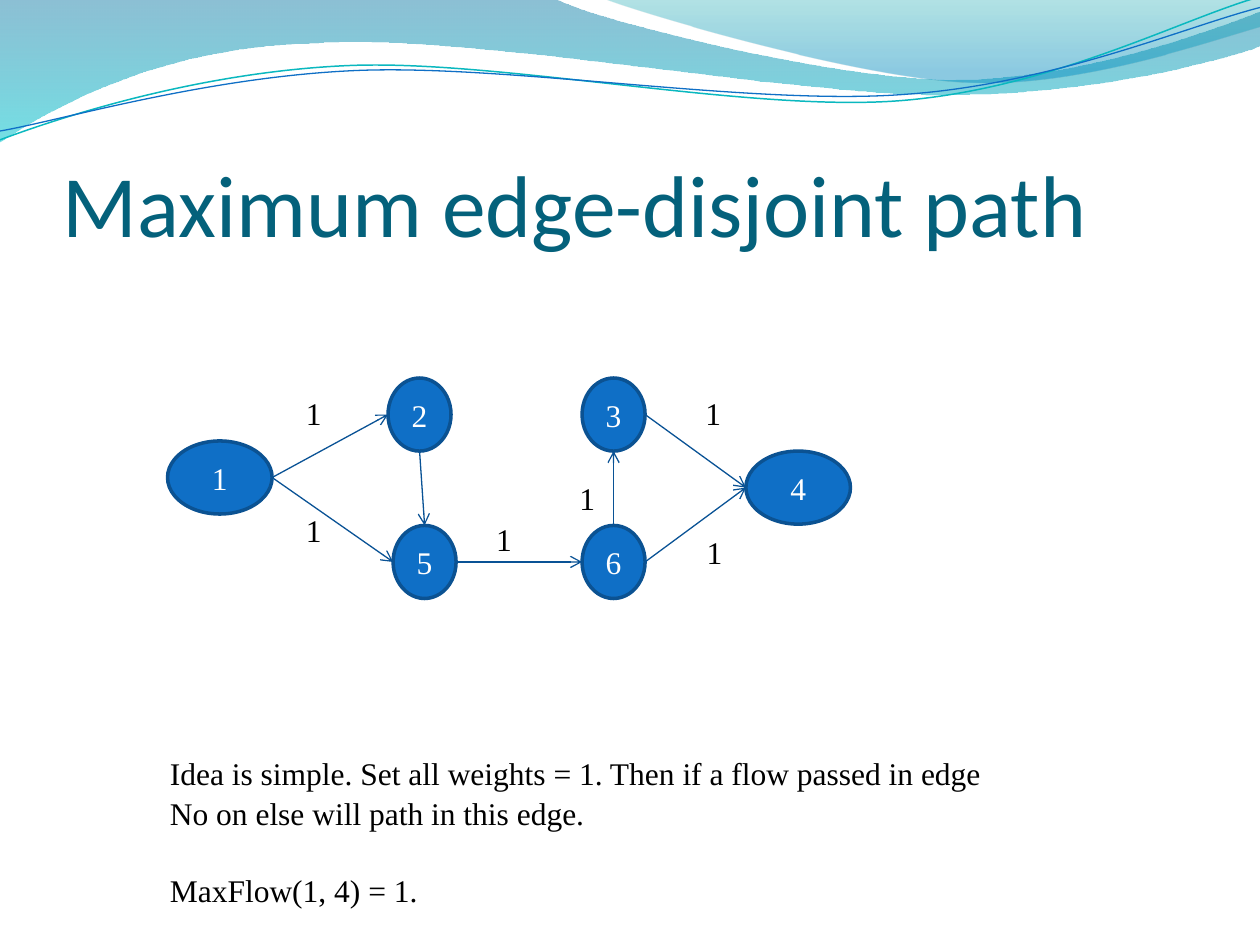
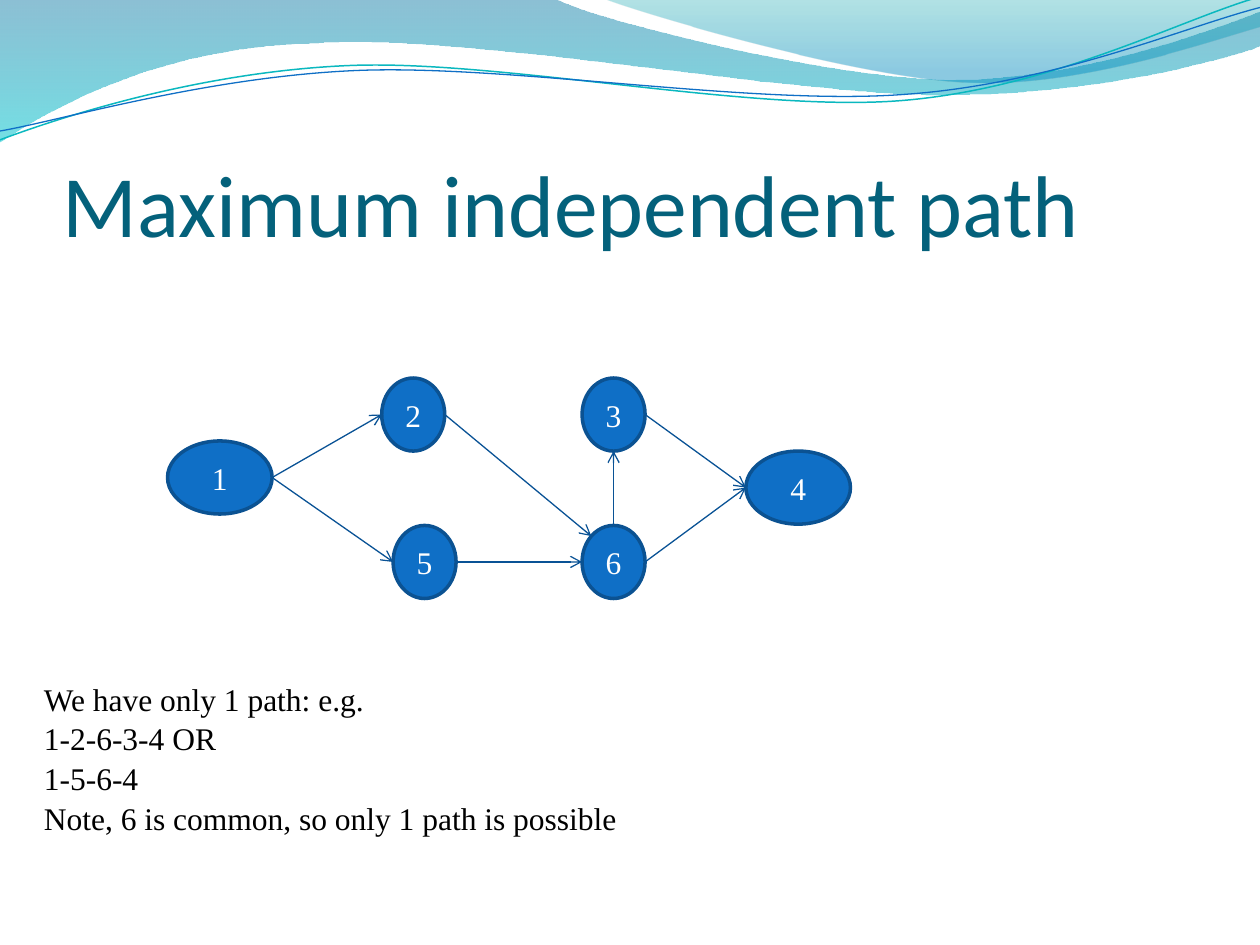
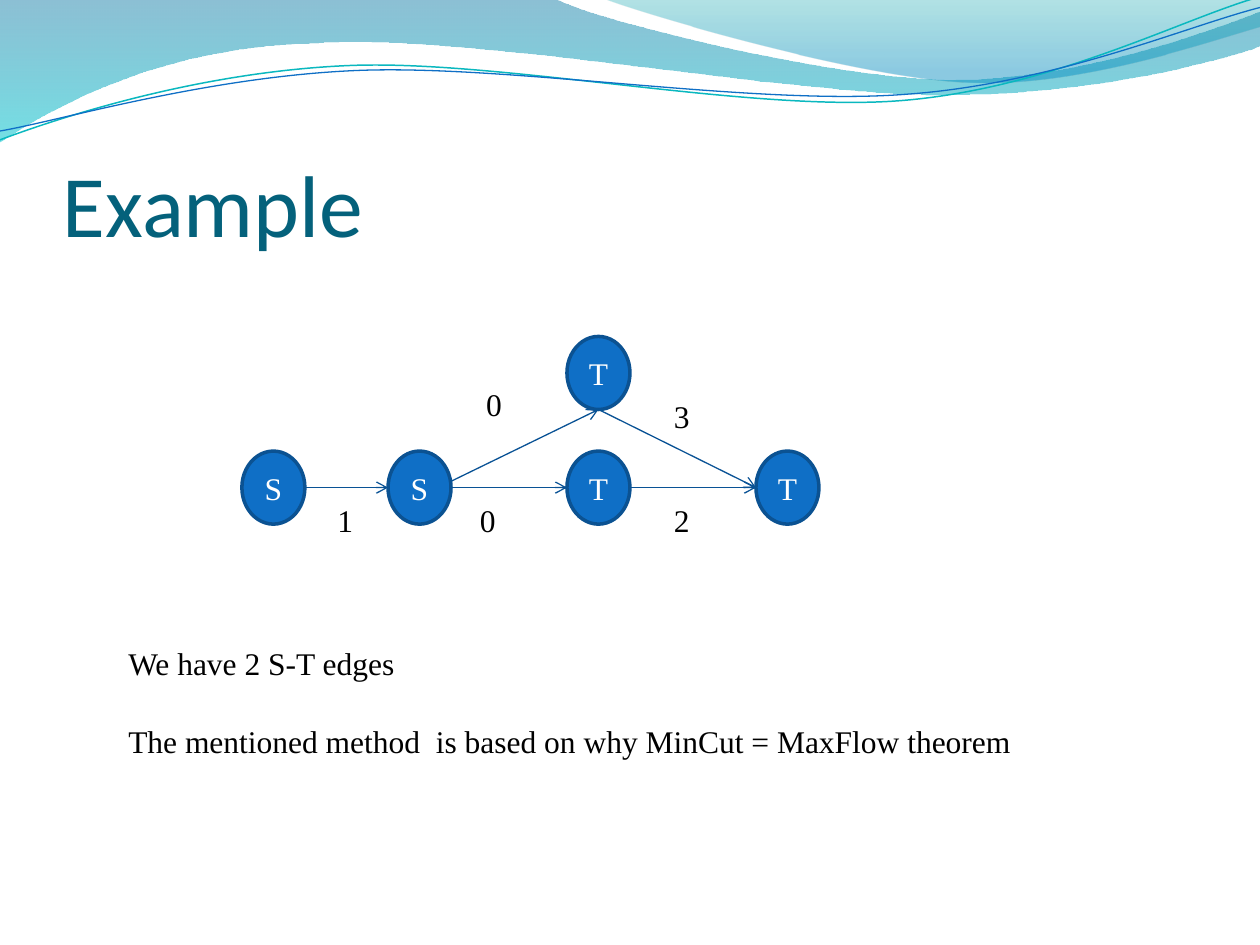
import dataclasses
import enum
import math

import lxml.etree
import pptx
import pptx.dml.color
import pptx.enum.shapes
import pptx.enum.text
import pptx.oxml.ns
import pptx.util

Inches = pptx.util.Inches
Pt = pptx.util.Pt
qn = pptx.oxml.ns.qn
Point = tuple[float, float]


# ---- Theme ----
@dataclasses.dataclass(frozen=True)
class Theme:
    title_font: str = "Calibri"
    body_font: str = "Times New Roman"
    title_size: float = 50
    body_size: float = 18
    blank_line: float = 21.7
    line_spacing: float = 1.05
    title: str = "04617B"
    ink: str = "000000"
    paper: str = "FFFFFF"
    node: str = "0F6FC6"
    node_line: str = "0B5292"
    edge: str = "095295"
    teal: str = "0AB8BF"
    node_line_width: float = 2
    edge_width: float = 0.75


THEME = Theme()


def rgb(code: str) -> pptx.dml.color.RGBColor:
    return pptx.dml.color.RGBColor.from_string(code)


# ---- What a slide is made of ----
class Site(enum.IntEnum):
    """Connection sites of an ellipse, counter-clockwise from the top."""
    TOP = 0
    TOP_LEFT = 1
    LEFT = 2
    BOTTOM = 4
    RIGHT = 6


@dataclasses.dataclass(frozen=True)
class Node:
    key: str
    text: str
    left: float
    top: float
    width: float = 0.5
    height: float = 0.58

    def site(self, site: Site) -> Point:
        angle = math.radians(90 + 45 * site)
        return (self.left + self.width / 2 * (1 + math.cos(angle)),
                self.top + self.height / 2 * (1 - math.sin(angle)))


@dataclasses.dataclass(frozen=True)
class Edge:
    start: str
    end: str
    start_site: Site = Site.RIGHT
    end_site: Site = Site.LEFT
    start_rise: float = 0  # a raised start is not joined to its node


@dataclasses.dataclass(frozen=True)
class Weight:
    text: str
    left: float
    top: float


@dataclasses.dataclass(frozen=True)
class Passage:
    text: str
    after_gap: bool = False


@dataclasses.dataclass(frozen=True)
class Note:
    left: float
    top: float
    width: float
    height: float
    passages: tuple[Passage, ...]
    wrap: bool = False


@dataclasses.dataclass(frozen=True)
class GraphSlide:
    title: str
    nodes: tuple[Node, ...]
    edges: tuple[Edge, ...]
    note: Note
    weights: tuple[Weight, ...] = ()


@dataclasses.dataclass(frozen=True)
class Stop:
    position: float
    color: str
    opacity: int


@dataclasses.dataclass(frozen=True)
class Wave:
    """Pieces of one point are lines, pieces of three are Bezier curves."""
    start: Point
    pieces: tuple[tuple[Point, ...], ...]
    stops: tuple[Stop, ...] = ()
    line: str = ""
    line_width: float = 0
    tilt: float = 0
    center: Point = (0, 0)


# ---- Header waves ----
WAVES = (
    Wave((0, 0), (
        ((4.4, -0.01),),
        ((4.76, 0.17), (6.64, 0.63), (7.58, 0.63)),
        ((8.53, 0.63), (9.58, 0.26), (10, 0.09)),
        ((10.01, 0.36),),
        ((9.83, 0.44), (8.7, 0.76), (7.46, 0.75)),
        ((6.22, 0.75), (3.82, 0.28), (2.57, 0.34)),
        ((1.29, 0.36), (0.46, 0.83), (-0.01, 1.13)),
    ), stops=(Stop(0, "0074A1", 45), Stop(1, "00C6CF", 55))),
    Wave((4.79, -0.01), (
        ((5.09, 0.11), (6.82, 0.62), (7.69, 0.65)),
        ((8.56, 0.69), (9.61, 0.32), (10, 0.21)),
        ((10, 0),),
    ), stops=(Stop(0, "00A1A9", 30), Stop(0.8, "008BBF", 45))),
    Wave((0, 1.11), (
        ((0.48, 0.93), (1.58, 0.57), (2.77, 0.52)),
        ((3.95, 0.47), (5.93, 0.89), (7.13, 0.8)),
        ((8.33, 0.71), (9.38, 0.15), (9.98, -0.02)),
    ), line=THEME.teal, line_width=0.85, tilt=-2.7, center=(4.99, 0.58)),
    Wave((0, 1.04), (
        ((0.47, 0.96), (1.64, 0.61), (2.83, 0.56)),
        ((4.03, 0.51), (5.97, 0.84), (7.17, 0.75)),
        ((8.36, 0.67), (9.41, 0.21), (10, 0.06)),
    ), line=THEME.node, line_width=0.75, tilt=-2.7, center=(5, 0.59)),
)


def turn(point: Point, center: Point, degrees: float) -> Point:
    angle = math.radians(degrees)
    x, y = point[0] - center[0], point[1] - center[1]
    return (center[0] + x * math.cos(angle) - y * math.sin(angle),
            center[1] + x * math.sin(angle) + y * math.cos(angle))


def bend_curves(shape, pieces: tuple[tuple[Point, ...], ...]) -> None:
    """Merge the three line segments of each curve piece into one curve."""
    segments = iter(list(shape.element.iter(qn("a:lnTo"))))
    for piece in pieces:
        group = [next(segments) for _ in piece]
        if len(group) == 3:
            curve = group[0].makeelement(qn("a:cubicBezTo"))
            group[0].addprevious(curve)
            for segment in group:
                curve.append(segment[0])
                segment.getparent().remove(segment)


def draw_wave(page, wave: Wave) -> None:
    points = [wave.start] + [point for piece in wave.pieces for point in piece]
    flat = [turn(point, wave.center, -wave.tilt) for point in points]
    corners = [(Inches(x), Inches(y)) for x, y in flat]
    builder = page.shapes.build_freeform(*corners[0], scale=1.0)
    builder.add_line_segments(corners[1:], close=bool(wave.stops))
    shape = builder.convert_to_shape()
    bend_curves(shape, wave.pieces)
    shape.rotation = wave.tilt
    shape.shadow.inherit = False
    if not wave.stops:
        shape.fill.background()
        shape.line.color.rgb = rgb(wave.line)
        shape.line.width = Pt(wave.line_width)
        return
    shape.line.fill.background()
    shape.fill.gradient()
    shape.fill.gradient_angle = 270
    for target, stop in zip(shape.fill.gradient_stops, wave.stops):
        target.position = stop.position
        target.color.rgb = rgb(stop.color)
    colors = shape.element.spPr.find(qn("a:gradFill")).iter(qn("a:srgbClr"))
    for color, stop in zip(list(colors), wave.stops):
        lxml.etree.SubElement(color, qn("a:alpha"), val=str(stop.opacity * 1000))


# ---- Text ----
def add_span(para, text: str, color: str, font: str = THEME.body_font,
             size: float = THEME.body_size) -> None:
    span = para.add_run()
    span.text = text
    span.font.name = font
    span.font.size = Pt(size)
    span.font.color.rgb = rgb(color)


def add_box(page, left: float, top: float, width: float, height: float, wrap: bool):
    box = page.shapes.add_textbox(Inches(left), Inches(top), Inches(width), Inches(height))
    box.text_frame.word_wrap = wrap
    return box


def draw_title(page, text: str) -> None:
    frame = add_box(page, 0.5, 0.77, 9, 1.25, True).text_frame
    frame.vertical_anchor = pptx.enum.text.MSO_ANCHOR.BOTTOM
    frame.margin_left = frame.margin_right = frame.margin_bottom = 0
    frame.margin_top = Inches(0.05)
    add_span(frame.paragraphs[0], text, THEME.title, THEME.title_font, THEME.title_size)


def draw_note(page, note: Note) -> None:
    frame = add_box(page, note.left, note.top, note.width, note.height, note.wrap).text_frame
    frame.auto_size = pptx.enum.text.MSO_AUTO_SIZE.SHAPE_TO_FIT_TEXT
    for index, passage in enumerate(note.passages):
        para = frame.add_paragraph() if index else frame.paragraphs[0]
        para.line_spacing = THEME.line_spacing
        if passage.after_gap:
            para.space_before = Pt(THEME.blank_line)
        for number, line in enumerate(passage.text.split("\n")):
            if number:
                para.add_line_break()
            add_span(para, line, THEME.ink)


def draw_weight(page, weight: Weight) -> None:
    frame = add_box(page, weight.left, weight.top, 0.33, 0.4, False).text_frame
    frame.auto_size = pptx.enum.text.MSO_AUTO_SIZE.SHAPE_TO_FIT_TEXT
    add_span(frame.paragraphs[0], weight.text, THEME.ink)


# ---- Graph ----
def draw_node(page, node: Node):
    shape = page.shapes.add_shape(
        pptx.enum.shapes.MSO_SHAPE.OVAL, Inches(node.left), Inches(node.top),
        Inches(node.width), Inches(node.height))
    shape.shadow.inherit = False
    shape.fill.solid()
    shape.fill.fore_color.rgb = rgb(THEME.node)
    shape.line.color.rgb = rgb(THEME.node_line)
    shape.line.width = Pt(THEME.node_line_width)
    shape.text_frame.vertical_anchor = pptx.enum.text.MSO_ANCHOR.MIDDLE
    para = shape.text_frame.paragraphs[0]
    para.alignment = pptx.enum.text.PP_ALIGN.CENTER
    add_span(para, node.text, THEME.paper)
    return shape


def join(connector, tag: str, shape, site: Site) -> None:
    """Join to any of the eight ellipse sites."""
    links = connector.element.nvCxnSpPr.cNvCxnSpPr
    lxml.etree.SubElement(links, qn(tag), id=str(shape.shape_id), idx=str(int(site)))


def draw_edge(page, edge: Edge, nodes: dict, shapes: dict) -> None:
    start_x, start_y = nodes[edge.start].site(edge.start_site)
    end_x, end_y = nodes[edge.end].site(edge.end_site)
    connector = page.shapes.add_connector(
        pptx.enum.shapes.MSO_CONNECTOR.STRAIGHT, Inches(start_x),
        Inches(start_y - edge.start_rise), Inches(end_x), Inches(end_y))
    connector.line.color.rgb = rgb(THEME.edge)
    connector.line.width = Pt(THEME.edge_width)
    properties = connector.element.spPr
    lxml.etree.SubElement(properties.find(qn("a:ln")), qn("a:tailEnd"), type="arrow")
    lxml.etree.SubElement(properties, qn("a:effectLst"))
    if not edge.start_rise:
        join(connector, "a:stCxn", shapes[edge.start], edge.start_site)
    join(connector, "a:endCxn", shapes[edge.end], edge.end_site)


# ---- Slides ----
SHARED_NODES = (
    Node("1", "1", 1.33, 3.5, 0.83),
    Node("3", "3", 4.62, 3),
    Node("4", "4", 5.92, 3.58, 0.83),
    Node("5", "5", 3.12, 4.17),
    Node("6", "6", 4.62, 4.17),
)
SHARED_EDGES = (
    Edge("1", "2"),
    Edge("1", "5"),
    Edge("5", "6"),
    Edge("6", "3", Site.TOP, Site.BOTTOM),
    Edge("3", "4"),
    Edge("6", "4"),
)
SLIDES = (
    GraphSlide(
        "Maximum edge-disjoint path",
        SHARED_NODES + (Node("2", "2", 3.08, 3),),
        SHARED_EDGES + (Edge("2", "5", Site.BOTTOM, Site.TOP),),
        Note(1.25, 5.92, 6.71, 1.31, (
            Passage("Idea is simple. Set all weights = 1. Then if a flow passed in edge"),
            Passage("No on else will path in this edge."),
            Passage("MaxFlow(1, 4) = 1.", after_gap=True),
        )),
        tuple(Weight("1", left, top) for left, top in (
            (2.33, 3.08), (2.33, 4.01), (3.84, 4.08),
            (5.51, 4.18), (5.5, 3.08), (4.5, 3.75))),
    ),
    GraphSlide(
        "Maximum independent path",
        SHARED_NODES + (Node("2", "2", 3.03, 3),),
        SHARED_EDGES + (Edge("2", "6", Site.RIGHT, Site.TOP_LEFT),),
        Note(0.25, 5.33, 4.79, 1.31, (
            Passage("We have only 1 path: e.g.\n1-2-6-3-4 OR"),
            Passage("1-5-6-4\nNote, 6 is common, so only 1 path is possible"),
        )),
    ),
    GraphSlide(
        "Example",
        (
            Node("source", "S", 1.92, 3.58),
            Node("branch", "S", 3.08, 3.58),
            Node("middle", "T", 4.5, 3.58),
            Node("target", "T", 6, 3.58),
            Node("upper", "T", 4.5, 2.67),
        ),
        (
            Edge("source", "branch"),
            Edge("branch", "middle"),
            Edge("middle", "target"),
            Edge("branch", "upper", Site.RIGHT, Site.BOTTOM, start_rise=0.05),
            Edge("upper", "target", Site.BOTTOM),
        ),
        Note(0.92, 5.05, 8.17, 1.01, (
            Passage("We have 2 S-T edges"),
            Passage("The mentioned method  is based on why MinCut = MaxFlow theorem",
                    after_gap=True),
        ), wrap=True),
        (
            Weight("1", 2.58, 3.93),
            Weight("0", 3.71, 3.93),
            Weight("2", 5.25, 3.93),
            Weight("0", 3.76, 3.01),
            Weight("3", 5.25, 3.1),
        ),
    ),
)


def draw_slide(deck, content: GraphSlide) -> None:
    page = deck.slides.add_slide(deck.slide_layouts[6])
    page.background.fill.solid()
    page.background.fill.fore_color.rgb = rgb(THEME.paper)
    for wave in WAVES:
        draw_wave(page, wave)
    draw_title(page, content.title)
    draw_note(page, content.note)
    nodes = {node.key: node for node in content.nodes}
    shapes = {key: draw_node(page, node) for key, node in nodes.items()}
    for edge in content.edges:
        draw_edge(page, edge, nodes, shapes)
    for weight in content.weights:
        draw_weight(page, weight)


def main() -> None:
    deck = pptx.Presentation()
    deck.slide_width = Inches(10)
    deck.slide_height = Inches(7.5)
    for content in SLIDES:
        draw_slide(deck, content)
    deck.save("out.pptx")


if __name__ == "__main__":
    main()
